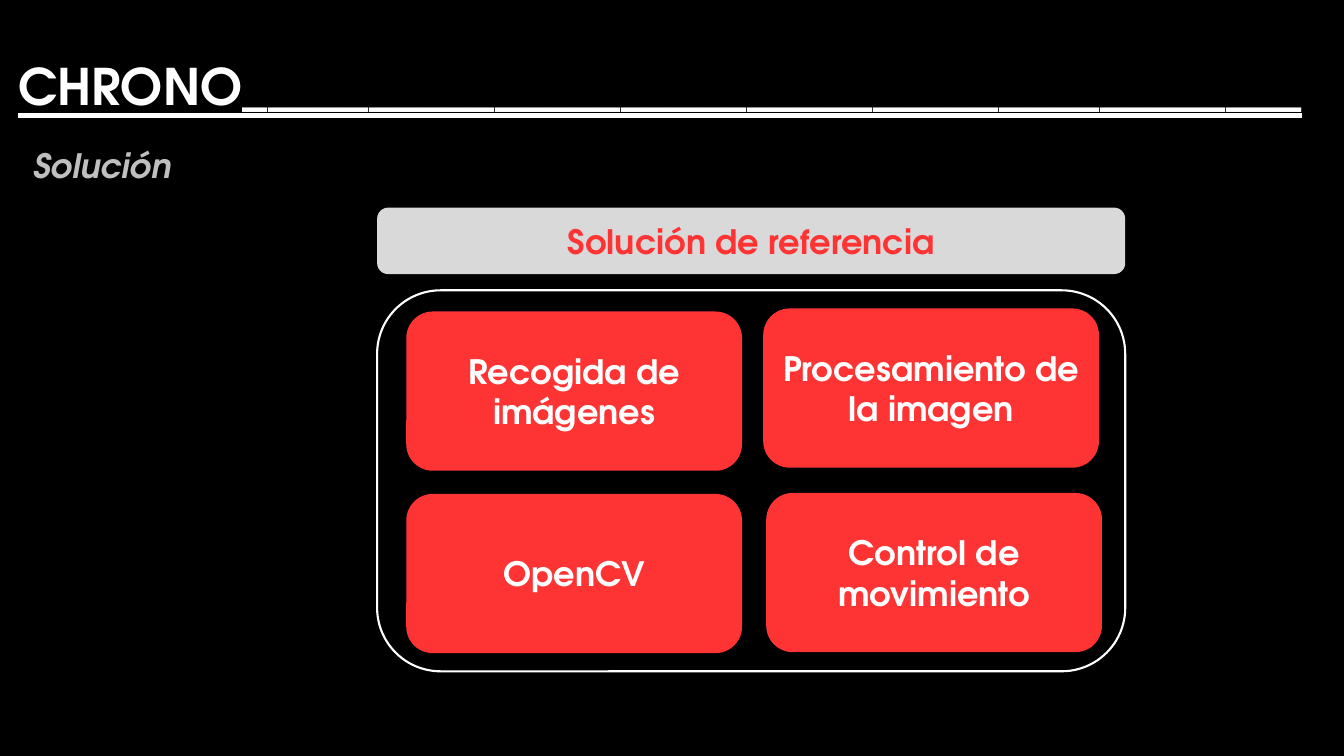
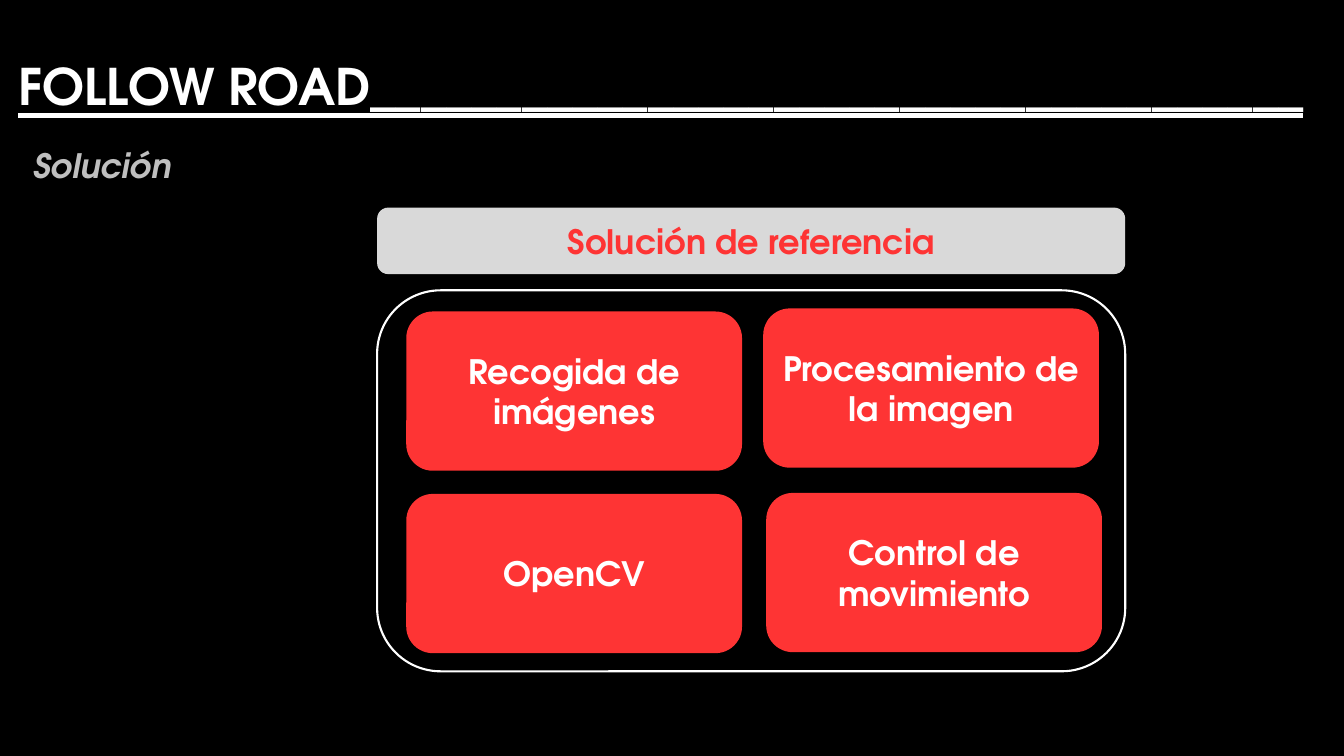
from pptx import Presentation
from pptx.dml.color import RGBColor
from pptx.enum.shapes import MSO_SHAPE
from pptx.enum.text import MSO_ANCHOR, MSO_AUTO_SIZE, PP_ALIGN
from pptx.util import Inches, Pt

ROUND = MSO_SHAPE.ROUNDED_RECTANGLE
MID, LOW = MSO_ANCHOR.MIDDLE, MSO_ANCHOR.BOTTOM
LEFT, CENTER = PP_ALIGN.LEFT, PP_ALIGN.CENTER
FONT = "TeX Gyre Adventor"
HUES = {"back": "000000", "text": "FFFFFF", "soft": "BFBFBF",
        "band": "D9D9D9", "red": "FE3434"}


def write(shape, text, size=24, hue="text", align=CENTER, anchor=MID,
          wrap=True, italic=False, under=False, lead=1.0):
    frame = shape.text_frame
    frame.auto_size = MSO_AUTO_SIZE.NONE
    frame.word_wrap = wrap
    frame.vertical_anchor = anchor
    para = frame.paragraphs[0]
    para.alignment = align
    para.line_spacing = lead
    run = para.add_run()
    run.text = text
    font = run.font
    font.name, font.size, font.bold = FONT, Pt(size), True
    font.italic, font.underline = italic, under
    font.color.rgb = RGBColor.from_string(HUES[hue])


def panel(slide, box, fill=None, line=None):
    shape = slide.shapes.add_shape(ROUND, *map(Inches, box))
    shape.shadow.inherit = False
    if fill:
        shape.fill.solid()
        shape.fill.fore_color.rgb = RGBColor.from_string(HUES[fill])
    else:
        shape.fill.background()
    if line:
        shape.line.color.rgb = RGBColor.from_string(HUES[line])
        shape.line.width = Pt(1.5)
    else:
        shape.line.fill.background()
    return shape


deck = Presentation()
deck.slide_width, deck.slide_height = Inches(13.33), Inches(7.5)

# Shared background and title place
back = deck.slide_master.background.fill
back.solid()
back.fore_color.rgb = RGBColor.from_string(HUES["back"])
layout = deck.slide_layouts[5]
head = layout.placeholders[0]
head.left, head.top, head.width, head.height = map(
    Inches, (0.05, 0.44, 13.15, 0.79))

# Panel column and its tiles
X, WIDE = 3.74, 7.42
TILE = (3.33, 1.58)
STEPS = [("Recogida de imágenes", 4.03, 3.09),
         ("Procesamiento de la imagen", 7.57, 3.06),
         ("OpenCV", 4.03, 4.9),
         ("Control de movimiento", 7.6, 4.89)]

# Each title runs on as a rule of underscores
for name, count in (("CHRONO", 42), ("FOLLOW ROAD", 37)):
    slide = deck.slides.add_slide(layout)
    title = slide.shapes.title
    frame = title.text_frame
    frame.margin_left = frame.margin_right = Inches(0.13)
    frame.margin_top = frame.margin_bottom = Inches(0.07)
    write(title, name + "_" * count, size=36, align=LEFT, anchor=LOW,
          under=True, lead=0.9)

    # Subtitle
    note = slide.shapes.add_textbox(*map(Inches, (0.23, 1.39, 1.59, 0.5)))
    write(note, "Solución", hue="soft", align=LEFT, wrap=False, italic=True)

    # Tiles, frame and heading
    for text, left, top in STEPS:
        write(panel(slide, (left, top, *TILE), fill="red"), text)
    panel(slide, (X, 2.88, WIDE, 3.78), line="text")
    band = panel(slide, (X, 2.06, WIDE, 0.66), fill="band")
    write(band, "Solución de referencia", hue="red")

deck.save("out.pptx")
